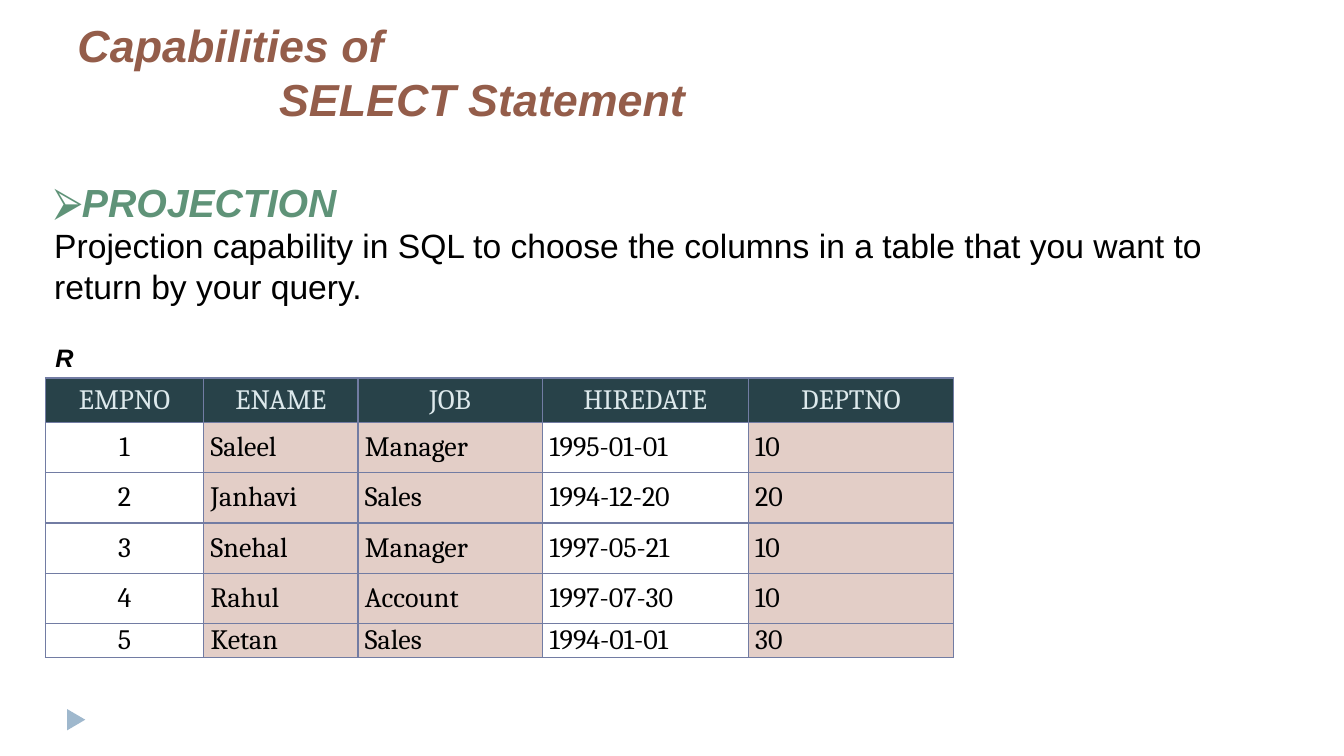
from dataclasses import dataclass

from lxml import etree
from pptx import Presentation
from pptx.dml.color import RGBColor
from pptx.enum.shapes import MSO_SHAPE
from pptx.enum.text import MSO_ANCHOR, PP_ALIGN
from pptx.oxml.ns import qn
from pptx.util import Inches, Pt

TRIANGLE = MSO_SHAPE.ISOSCELES_TRIANGLE
TOP, MIDDLE, BOTTOM = MSO_ANCHOR.TOP, MSO_ANCHOR.MIDDLE, MSO_ANCHOR.BOTTOM
LEFT, CENTER = PP_ALIGN.LEFT, PP_ALIGN.CENTER

SLIDE_W, SLIDE_H = Inches(13.33), Inches(7.5)


@dataclass(frozen=True)
class Theme:
    sans: str = "Arial"
    serif: str = "Cambria"
    title: str = "945D4A"
    topic: str = "5F9378"
    ink: str = "000000"
    header_fill: str = "284249"
    header_ink: str = "DDE9EC"
    projected_fill: str = "E3CEC7"
    border: str = "727CA3"
    marker: str = "9FB8CD"
    title_size: int = 32
    topic_size: int = 28
    body_size: int = 24
    table_size: int = 20
    label_size: int = 18


THEME = Theme()
EMPHASIS = {"bold": True, "italic": True}

COLUMNS = ["EMPNO", "ENAME", "JOB", "HIREDATE", "DEPTNO"]
EMPLOYEES = [
    ["1", "Saleel", "Manager", "1995-01-01", "10"],
    ["2", "Janhavi", "Sales", "1994-12-20", "20"],
    ["3", "Snehal", "Manager", "1997-05-21", "10"],
    ["4", "Rahul", "Account", "1997-07-30", "10"],
    ["5", "Ketan", "Sales", "1994-01-01", "30"],
]
PROJECTED = {"ENAME", "JOB", "DEPTNO"}
COLUMN_WEIGHTS = [1.57, 1.53, 1.83, 2.04, 2.04]
ROW_WEIGHTS = [0.44, 0.5, 0.5, 0.5, 0.5, 0.33]


def region(left, top, width, height):
    """Turn percentages of the slide into a box."""
    return (round(SLIDE_W * left / 100), round(SLIDE_H * top / 100),
            round(SLIDE_W * width / 100), round(SLIDE_H * height / 100))


def write(paragraph, text, font, size, color, **formats):
    paragraph.text = text
    paragraph.font.color.rgb = RGBColor.from_string(color)
    for name, value in {"name": font, "size": Pt(size), **formats}.items():
        setattr(paragraph.font, name, value)


def add_text_frame(slide, box, anchor=TOP):
    frame = slide.shapes.add_textbox(*box).text_frame
    frame.word_wrap = True
    frame.vertical_anchor = anchor
    return frame


def add_bullet(paragraph, symbol, color, indent):
    properties = paragraph._p.get_or_add_pPr()
    properties.set("marL", "0")
    properties.set("indent", str(indent))
    bullet_color = etree.SubElement(properties, qn("a:buClr"))
    etree.SubElement(bullet_color, qn("a:srgbClr"), val=color)
    etree.SubElement(properties, qn("a:buFont"), typeface=THEME.sans)
    etree.SubElement(properties, qn("a:buChar"), char=symbol)


def add_marker(slide, box):
    marker = slide.shapes.add_shape(TRIANGLE, *box)
    marker.rotation = 90
    marker.shadow.inherit = False
    marker.fill.solid()
    marker.fill.fore_color.rgb = RGBColor.from_string(THEME.marker)
    marker.line.fill.background()


def add_title(slide, box):
    frame = add_text_frame(slide, box, BOTTOM)
    first_line, second_line = frame.paragraphs[0], frame.add_paragraph()
    # The second line is stepped in by a sixth of the title's width
    second_line._p.get_or_add_pPr().set("marL", str(round(box[2] / 6)))
    for line, text in ((first_line, "Capabilities of"),
                       (second_line, "SELECT Statement")):
        write(line, text, THEME.sans, THEME.title_size, THEME.title, **EMPHASIS)


def add_explanation(slide, box):
    frame = add_text_frame(slide, box)
    topic, explanation = frame.paragraphs[0], frame.add_paragraph()
    topic.line_spacing = 2.0
    add_bullet(topic, "⮚", THEME.topic, Inches(-0.19))
    write(topic, "PROJECTION", THEME.sans, THEME.topic_size, THEME.topic,
          **EMPHASIS)
    write(explanation,
          "Projection capability in SQL to choose the columns in a table "
          "that you want to return by your query.",
          THEME.sans, THEME.body_size, THEME.ink)


def add_relation_label(slide, box):
    label = add_text_frame(slide, box).paragraphs[0]
    write(label, "R", THEME.sans, THEME.label_size, THEME.ink, **EMPHASIS)


def add_borders(cell):
    properties = cell._tc.get_or_add_tcPr()
    for side in ("lnL", "lnR", "lnT", "lnB"):
        line = etree.SubElement(properties, qn(f"a:{side}"), w=str(Pt(1)))
        fill = etree.SubElement(line, qn("a:solidFill"))
        etree.SubElement(fill, qn("a:srgbClr"), val=THEME.border)


def format_cell(cell, text, ink, fill, align):
    add_borders(cell)
    layout = {"margin_left": Inches(0.07), "margin_right": Inches(0.07),
              "margin_top": 0, "margin_bottom": 0, "vertical_anchor": MIDDLE}
    for name, value in layout.items():
        setattr(cell, name, value)
    if fill:
        cell.fill.solid()
        cell.fill.fore_color.rgb = RGBColor.from_string(fill)
    else:
        cell.fill.background()
    entry = cell.text_frame.paragraphs[0]
    entry.alignment = align
    write(entry, text, THEME.serif, THEME.table_size, ink)


def add_employee_table(slide, box):
    records = [COLUMNS, *EMPLOYEES]
    table = slide.shapes.add_table(len(records), len(COLUMNS), *box).table
    table.first_row = table.horz_banding = False
    for column, weight in zip(table.columns, COLUMN_WEIGHTS):
        column.width = round(box[2] * weight / sum(COLUMN_WEIGHTS))
    for row, weight in zip(table.rows, ROW_WEIGHTS):
        row.height = round(box[3] * weight / sum(ROW_WEIGHTS))

    for r, record in enumerate(records):
        for c, (heading, value) in enumerate(zip(COLUMNS, record)):
            is_header = r == 0
            ink = THEME.header_ink if is_header else THEME.ink
            body_fill = THEME.projected_fill if heading in PROJECTED else None
            fill = THEME.header_fill if is_header else body_fill
            align = CENTER if is_header or c == 0 else LEFT
            format_cell(table.cell(r, c), value, ink, fill, align)


def main():
    deck = Presentation()
    deck.slide_width, deck.slide_height = SLIDE_W, SLIDE_H
    slide = deck.slides.add_slide(deck.slide_layouts[6])
    add_marker(slide, region(4.88, 94, 1.58, 2.4))
    add_explanation(slide, region(3.3, 16.67, 93.92, 24.67))
    add_title(slide, region(5.03, 3.87, 90, 13.33))
    add_employee_table(slide, region(3.38, 50, 67.6, 36.93))
    add_relation_label(slide, region(3.38, 44.67, 3.23, 5.33))
    deck.save("out.pptx")


if __name__ == "__main__":
    main()
